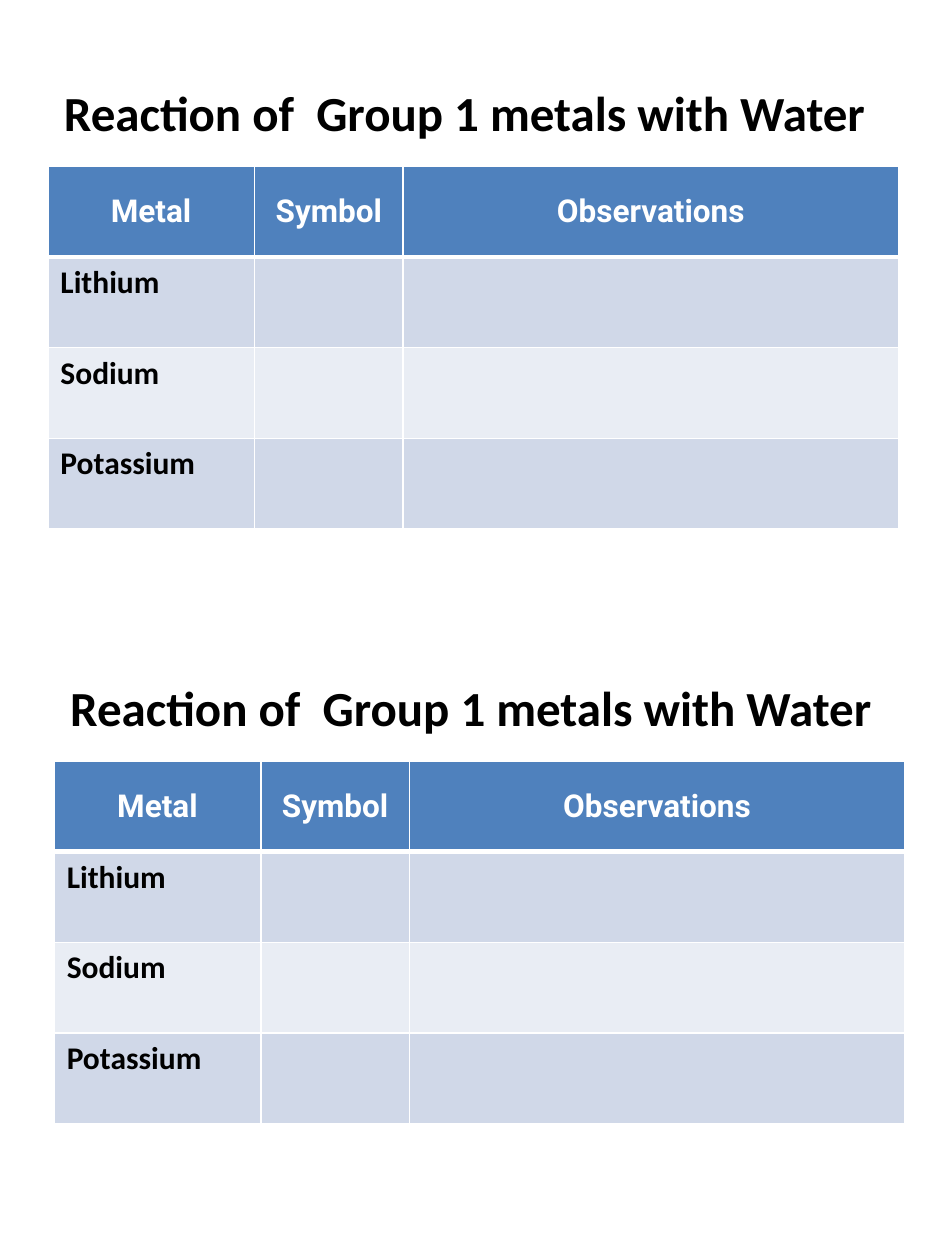
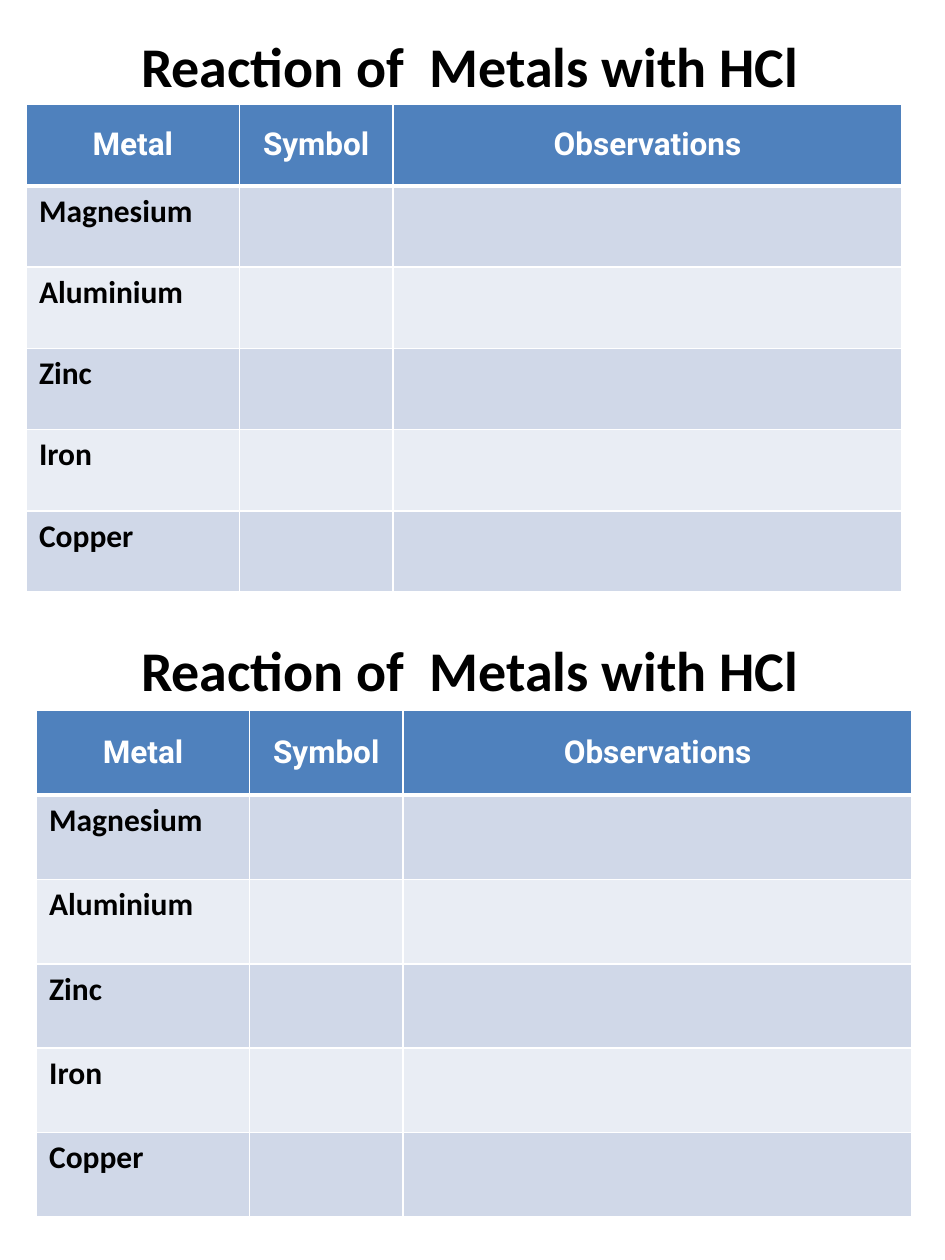
from lxml import etree
from pptx import Presentation
from pptx.dml.color import RGBColor
from pptx.enum.text import MSO_ANCHOR, PP_ALIGN
from pptx.oxml.ns import qn
from pptx.util import Inches, Pt

HEADER_FILL, ODD_FILL, EVEN_FILL = "4F81BD", "D0D8E8", "E9EDF4"
WHITE, BLACK = "FFFFFF", "000000"
HEADINGS = ["Metal", "Symbol", "Observations"]
GROUP_1 = ["Lithium", "Sodium", "Potassium"]
ACID_METALS = ["Magnesium", "Aluminium", "Zinc", "Iron", "Copper"]


def color(value):
    return RGBColor.from_string(value)


def add_span(para, text, font, size, ink):
    span = para.add_run()
    span.text = text
    span.font.name = font
    span.font.size = Pt(size)
    span.font.bold = True
    span.font.color.rgb = color(ink)


def add_title(page, text, size, left, top, width, height):
    box = page.shapes.add_textbox(*map(Inches, (left, top, width, height)))
    frame = box.text_frame
    frame.word_wrap = False
    frame.vertical_anchor = MSO_ANCHOR.MIDDLE
    para = frame.paragraphs[0]
    para.alignment = PP_ALIGN.CENTER
    add_span(para, text, "Calibri", size, BLACK)


def set_borders(cell, top=1, bottom=1):
    """Draw white rules; they must come before the cell's fill."""
    props = cell._tc.get_or_add_tcPr()
    for side, points in (("L", 1), ("R", 1), ("T", top), ("B", bottom)):
        line = etree.SubElement(props, qn(f"a:ln{side}"), w=str(Pt(points)))
        fill = etree.SubElement(line, qn("a:solidFill"))
        etree.SubElement(fill, qn("a:srgbClr"), val=WHITE)


def fill_cell(cell, fill):
    cell.fill.solid()
    cell.fill.fore_color.rgb = color(fill)


def add_results_table(page, metals, left, top, widths, row_height):
    """Heading row, then one row per metal with room for notes."""
    count = len(metals) + 1
    size = (sum(widths), row_height * count)
    frame = page.shapes.add_table(count, len(HEADINGS),
                                  *map(Inches, (left, top, *size)))
    table = frame.table
    for column, width in zip(table.columns, widths):
        column.width = Inches(width)
    for row in table.rows:
        row.height = Inches(row_height)

    for index, heading in enumerate(HEADINGS):
        cell = table.cell(0, index)
        set_borders(cell, bottom=3)
        fill_cell(cell, HEADER_FILL)
        cell.vertical_anchor = MSO_ANCHOR.MIDDLE
        para = cell.text_frame.paragraphs[0]
        para.alignment = PP_ALIGN.CENTER
        add_span(para, heading, "Roboto", 18, WHITE)

    for number, metal in enumerate(metals, start=1):
        for index in range(len(HEADINGS)):
            cell = table.cell(number, index)
            set_borders(cell, top=3 if number == 1 else 1)
            fill_cell(cell, ODD_FILL if number % 2 else EVEN_FILL)
        para = table.cell(number, 0).text_frame.paragraphs[0]
        add_span(para, metal, "Calibri", 18, BLACK)


def add_water_page(deck):
    page = deck.slides.add_slide(deck.slide_layouts[6])
    for left, top in ((0.31, 0.56), (0.36, 5.28)):
        add_title(page, "Reaction of  Group 1 metals with Water", 28,
                  left, top, 6.75, 0.66)
        add_results_table(page, GROUP_1, left + 0.07, top + 0.76,
                          (1.64, 1.18, 3.93), 0.72)


def add_acid_page(deck):
    page = deck.slides.add_slide(deck.slide_layouts[6])
    for title_top, left, top, row_height in ((0.2, 0.21, 0.83, 0.645),
                                             (4.99, 0.29, 5.64, 0.67)):
        add_results_table(page, ACID_METALS, left, top,
                          (1.69, 1.22, 4.04), round(row_height, 3))
        add_title(page, "Reaction of  Metals with HCl", 32,
                  0.99, title_top, 5.48, 0.64)


def main():
    deck = Presentation()
    deck.slide_width, deck.slide_height = Inches(7.5), Inches(10)
    add_water_page(deck)
    add_acid_page(deck)
    deck.save("out.pptx")


if __name__ == "__main__":
    main()
